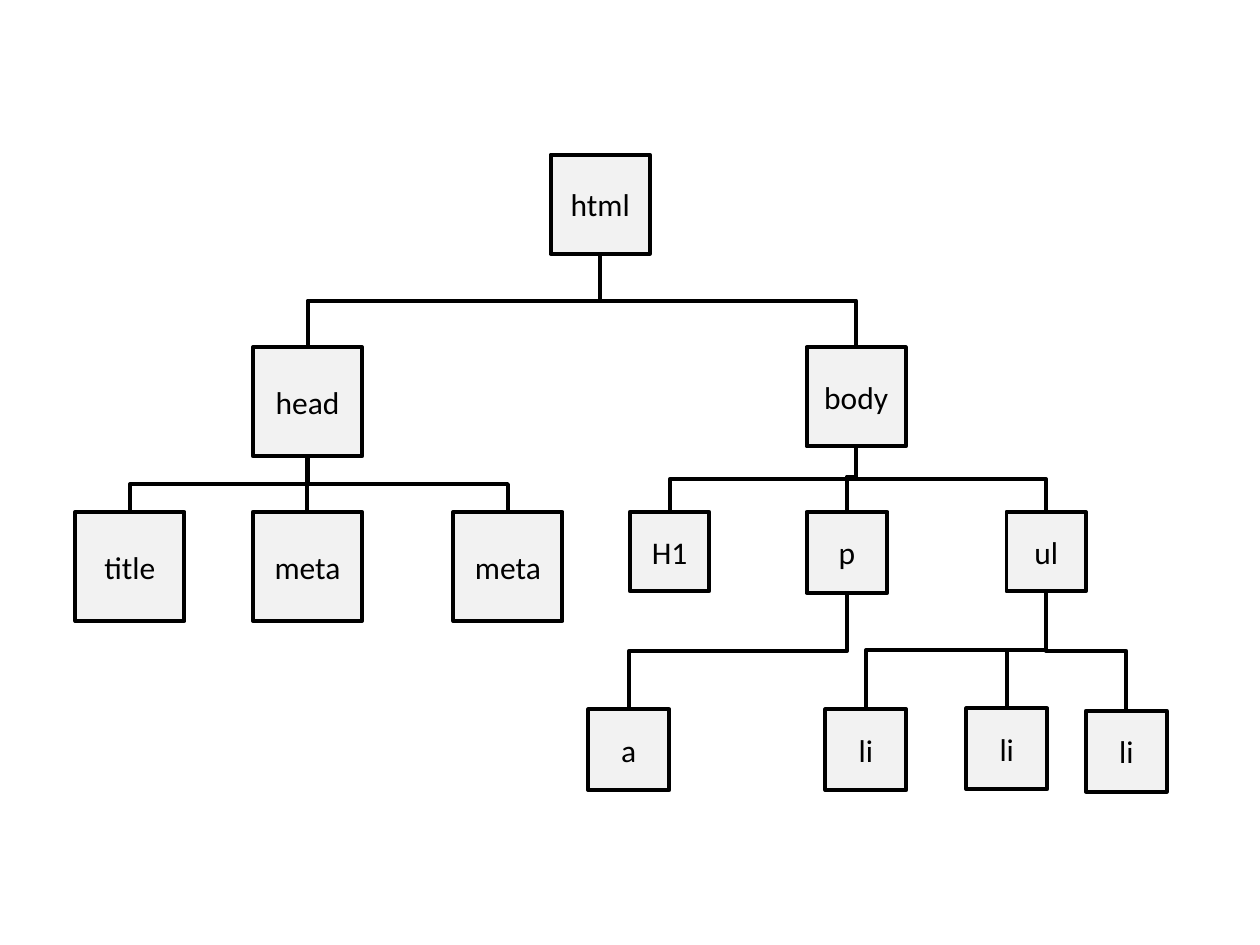
from dataclasses import dataclass

from lxml import etree
from pptx import Presentation
from pptx.dml.color import RGBColor
from pptx.enum.shapes import MSO_CONNECTOR, MSO_SHAPE
from pptx.enum.text import MSO_ANCHOR, PP_ALIGN
from pptx.oxml.ns import qn
from pptx.util import Cm, Pt

RECTANGLE = MSO_SHAPE.RECTANGLE
ELBOW = MSO_CONNECTOR.ELBOW
MIDDLE = MSO_ANCHOR.MIDDLE
CENTER = PP_ALIGN.CENTER
TOP_SITE, BOTTOM_SITE = 0, 2


@dataclass(frozen=True)
class Theme:
    font: str = "Calibri"
    label_size: float = 18
    line_width: float = 2.25
    ink: RGBColor = RGBColor(0x00, 0x00, 0x00)
    node_fill: RGBColor = RGBColor(0xF2, 0xF2, 0xF2)


THEME = Theme()
LARGE, MEDIUM, SMALL, TINY = 2.2, 2, 1.63, 1.6  # node sides in cm
ROW_GAP = 3.32  # from an element to its children, in cm


def write_text(shape, text, size=THEME.label_size, color=THEME.ink, align=CENTER):
    frame = shape.text_frame
    frame.word_wrap = True
    frame.vertical_anchor = MIDDLE
    para = frame.paragraphs[0]
    para.alignment = align
    span = para.add_run()
    span.text = text
    span.font.name = THEME.font
    span.font.size = Pt(size)
    span.font.color.rgb = color


def style_line(line):
    line.color.rgb = THEME.ink
    line.width = Pt(THEME.line_width)


def add_node(page, box, text, x, y, side):
    """Square node, offset in cm from the corner of its region."""
    left, top = box
    node = page.shapes.add_shape(
        RECTANGLE, Cm(left + x), Cm(top + y), Cm(side), Cm(side))
    node.shadow.inherit = False
    node.fill.solid()
    node.fill.fore_color.rgb = THEME.node_fill
    style_line(node.line)
    write_text(node, text)
    return node


def link(page, parent, child, bend=0.5):
    """Elbow from the bottom of the parent to the top of the child."""
    start_x, start_y = parent.left + parent.width // 2, parent.top + parent.height
    end_x, end_y = child.left + child.width // 2, child.top
    connector = page.shapes.add_connector(ELBOW, start_x, start_y, end_x, end_y)
    connector.begin_connect(parent, BOTTOM_SITE)
    connector.end_connect(child, TOP_SITE)
    style_line(connector.line)

    # A quarter turn makes the elbow leave and arrive vertically
    drop, reach = end_y - start_y, abs(end_x - start_x)
    connector.left = (start_x + end_x - drop) // 2
    connector.top = (start_y + end_y - reach) // 2
    connector.width, connector.height = drop, reach
    goes_left = end_x < start_x
    properties = connector.element.spPr
    transform = properties.find(qn("a:xfrm"))
    transform.set("rot", str((90 if goes_left else 270) * 60000))
    transform.set("flipH", "0" if goes_left else "1")
    transform.set("flipV", "0")
    guides = properties.find(qn("a:prstGeom")).find(qn("a:avLst"))
    etree.SubElement(guides, qn("a:gd"), name="adj1",
                     fmla=f"val {round(bend * 100000)}")
    etree.SubElement(properties, qn("a:effectLst"))


def add_children(page, box, parent, children):
    """Add and link (text, x, y, side, bend) children; return their nodes."""
    nodes = []
    for text, x, y, side, bend in children:
        node = add_node(page, box, text, x, y, side)
        link(page, parent, node, bend)
        nodes.append(node)
    return nodes


def head_branch(page, box):
    head = add_node(page, box, "head", 3.58, 0, LARGE)
    add_children(page, box, head, [
        (text, x, ROW_GAP, LARGE, 0.5)
        for text, x in (("title", 0), ("meta", 3.58), ("meta", 7.62))])
    return head


def body_branch(page, box):
    body = add_node(page, box, "body", 4.4, 0, MEDIUM)
    _, paragraph, bullets = add_children(page, box, body, [
        ("H1", 0.84, ROW_GAP, TINY, 0.5),
        ("p", 4.4, ROW_GAP, SMALL, 0.46),
        ("ul", 8.43, ROW_GAP, TINY, 0.5)])
    add_children(page, box, paragraph, [("a", 0, 7.3, SMALL, 0.5)])
    add_children(page, box, bullets, [
        ("li", x, y, SMALL, 0.5)
        for x, y in ((4.78, 7.3), (7.62, 7.28), (10.03, 7.33))])
    return body


def document_tree(page, box):
    left, top = box
    root = add_node(page, box, "html", 9.58, 0, MEDIUM)
    branch_top = top + 3.88
    link(page, root, head_branch(page, (left, branch_top)))
    link(page, root, body_branch(page, (left + 10.34, branch_top)))


def main():
    deck = Presentation()
    deck.slide_width, deck.slide_height = Cm(25.4), Cm(19.05)
    page = deck.slides.add_slide(deck.slide_layouts[6])
    document_tree(page, (1.52, 3.12))
    deck.save("out.pptx")


if __name__ == "__main__":
    main()
